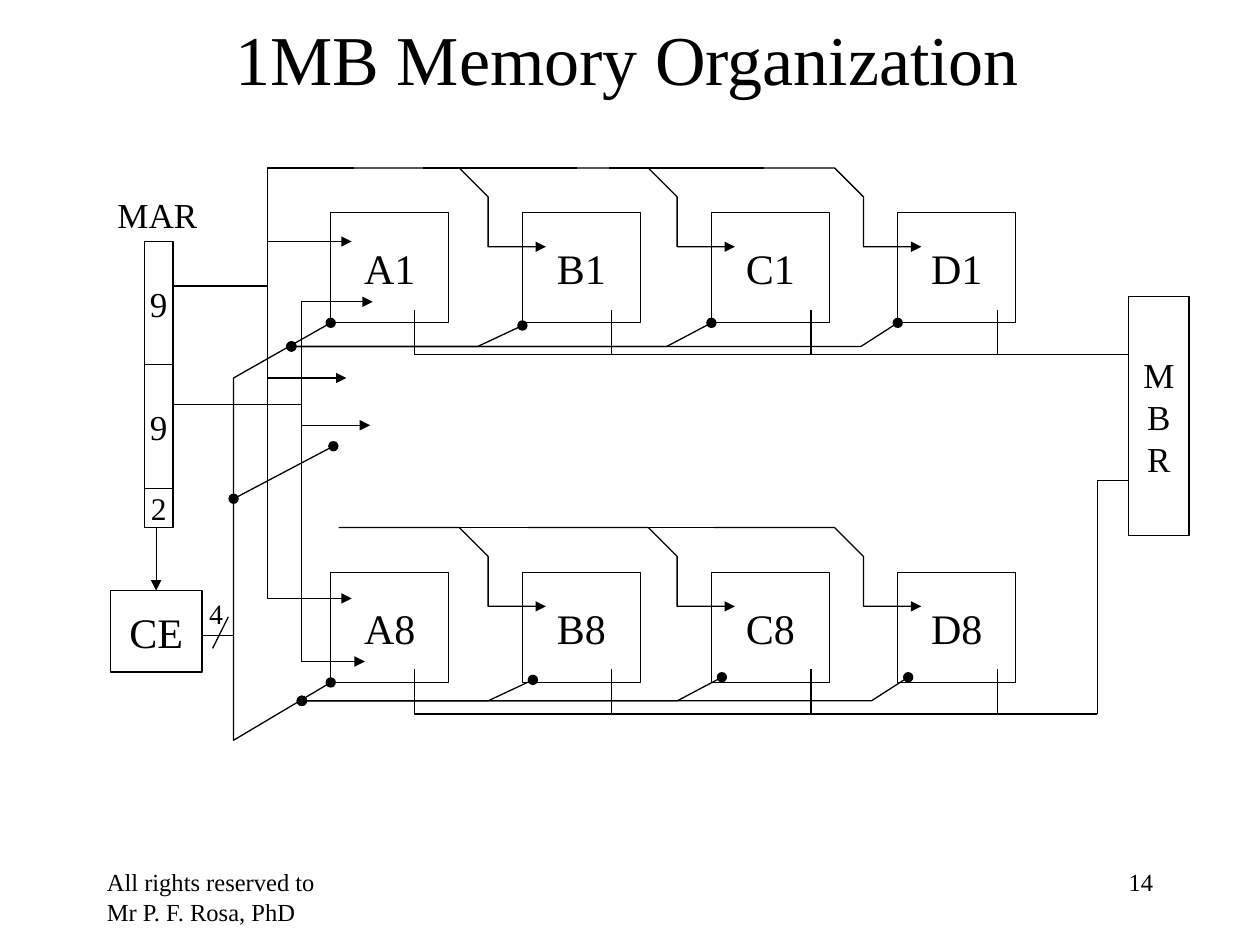
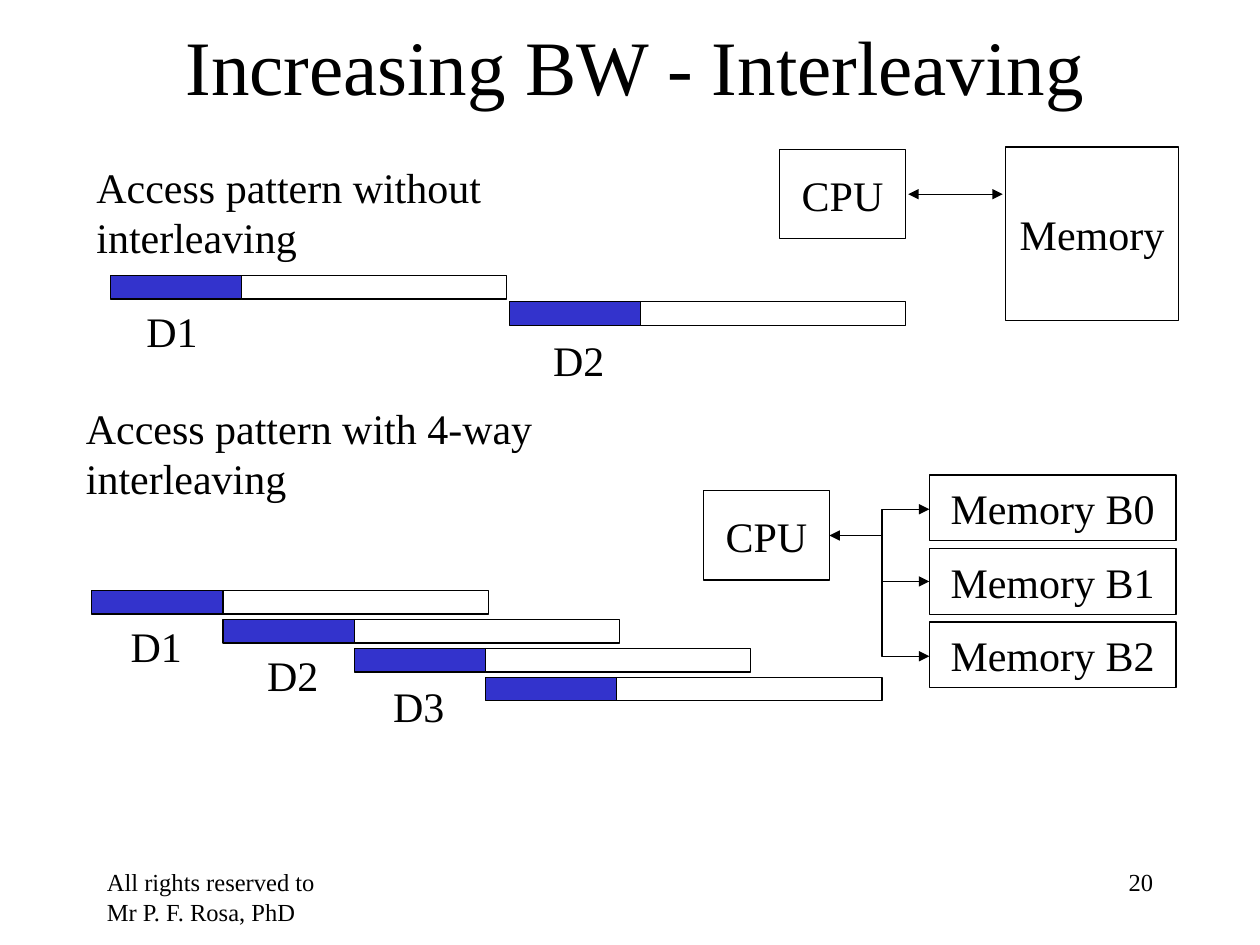
import pptx
import pptx.util
import pptx.dml.color
import pptx.enum.shapes
import pptx.enum.text
import pptx.oxml
import pptx.oxml.ns

BLACK = pptx.dml.color.RGBColor(0, 0, 0)
WHITE = pptx.dml.color.RGBColor(255, 255, 255)
BLUE = pptx.dml.color.RGBColor(0x33, 0x33, 0xCC)
FONT = "Times New Roman"
ALIGN = pptx.enum.text.PP_ALIGN
ANCHOR = pptx.enum.text.MSO_ANCHOR

# Grid: 480 columns by 360 rows of square cells
COLS, ROWS = 480, 360
CELL = pptx.util.Inches(10) // COLS


def grid(*nums):
    return [round(n * CELL) for n in nums]


# Text and shapes

def write(shape, text, size, align=ALIGN.LEFT, **form):
    frame = shape.text_frame
    base = {"word_wrap": False, "vertical_anchor": ANCHOR.TOP}
    for key, value in {**base, **form}.items():
        setattr(frame, key, value)
    frame.text = text
    look = {"name": FONT, "size": pptx.util.Pt(size)}
    for para in frame.paragraphs:
        para.alignment = align
        for key, value in look.items():
            setattr(para.font, key, value)
        para.font.color.rgb = BLACK


def label(slide, box, text, size, **form):
    write(slide.shapes.add_textbox(*grid(*box)), text, size, **form)


def ink(line):
    line.color.rgb = BLACK
    line.width = pptx.util.Pt(0.75)


def block(slide, box, text="", size=24, fill=None):
    kind = pptx.enum.shapes.MSO_SHAPE.RECTANGLE
    shape = slide.shapes.add_shape(kind, *grid(*box))
    shape.shadow.inherit = False
    if fill is None:
        shape.fill.background()
    else:
        shape.fill.solid()
        shape.fill.fore_color.rgb = fill
    ink(shape.line)
    if text:
        write(shape, text, size, ALIGN.CENTER, vertical_anchor=ANCHOR.MIDDLE)
    return shape


# Lines, with optional marks at their ends

def add_tag(parent, name, **attrs):
    tag = pptx.oxml.parse_xml(f"<a:{name} {pptx.oxml.ns.nsdecls('a')}/>")
    for key, value in attrs.items():
        tag.set(key, value)
    parent.append(tag)


def mark(shape, head, tail):
    line = shape._element.spPr.find(pptx.oxml.ns.qn("a:ln"))
    for name, kind in (("headEnd", head), ("tailEnd", tail)):
        if kind:
            add_tag(line, name, type=kind)


def wire(slide, start, end, head=None, tail=None):
    kind = pptx.enum.shapes.MSO_CONNECTOR.STRAIGHT
    line = slide.shapes.add_connector(kind, *grid(*start, *end))
    ink(line.line)
    mark(line, head, tail)
    add_tag(line._element.spPr, "effectLst")
    return line


def route(slide, points, head=None, tail=None):
    first, *rest = [grid(*point) for point in points]
    draft = slide.shapes.build_freeform(*first)
    draft.add_line_segments(rest, close=False)
    shape = draft.convert_to_shape()
    shape.shadow.inherit = False
    shape.fill.background()
    ink(shape.line)
    mark(shape, head, tail)


# What the slides share

def frame(deck, title, box, size, page):
    slide = deck.slides.add_slide(deck.slide_layouts[6])
    label(slide, box, title, size, align=ALIGN.CENTER,
          word_wrap=True, vertical_anchor=ANCHOR.MIDDLE)
    label(slide, (36, 328, 100, 24), "All rights reserved to Mr P. F. Rosa, PhD",
          14, word_wrap=True)
    label(slide, (344, 328, 100, 24), page, 14, align=ALIGN.RIGHT, word_wrap=True)
    return slide


# Memory organization

def bank(slide, left, top, row, shift):
    """One row of four chips with its address, data and enable lines."""
    chips = [left + step for step in (0, 73, 145, 216)]
    for name, x in zip("ABCD", chips):
        block(slide, (x, top + 17, 45, 42), f"{name}{row}")
    # Address bus
    for x in chips[1:]:
        steps = ((-70, 0), (-24, 0), (-13, 11), (-13, 30), (9, 30))
        route(slide, [(x + dx, top + dy) for dx, dy in steps], tail="triangle")
    for x in (left + 35, left + 106):
        wire(slide, (x + 59, top), (x, top))
    # Data bus
    high, low = top + 54, top + 71
    route(slide, [(left + 32, high), (left + 32, low), (left + 292, low)])
    for x in (left + 107, left + 183, left + 254):
        wire(slide, (x, high), (x, low))
    # Chip enable
    dx, dy = shift
    base = top + 68 + dy
    for x, bend, lift in zip(chips[1:], (17, 17, 14), (8, 9, 9)):
        route(slide, [(left - 15 + dx, base), (x - bend + dx, base),
                      (x + dx, base - lift)], "oval", "oval")


def mar(slide, left, top):
    """Address register and the chip-enable decoder below it."""
    label(slide, (left - 15, top - 20.5, 40, 21), "MAR", 20)
    y = top
    for text, high, size in (("9", 47, 20), ("9", 47, 20), ("2", 15, 18)):
        block(slide, (left, y, 11, high), text, size)
        y += high
    chip = block(slide, (left - 13, y + 24, 35, 31), "CE")
    down = wire(slide, (left + 4.5, y), (left + 4.5, y + 24), tail="triangle")
    down.end_connect(chip, 0)
    wire(slide, (left + 22, y + 41), (left + 34, y + 41))
    wire(slide, (left + 32, y + 34), (left + 26, y + 46))
    label(slide, (left + 20, y + 24, 15, 18), "4", 16)
    wire(slide, (left + 11, top + 17), (left + 47, top + 17))
    wire(slide, (left + 11, top + 62), (left + 60, top + 62))


def trunks(slide, left, top):
    """Upright select lines that feed every bank."""
    row, col, gate = left + 26, left + 13, left
    route(slide, [(row + 27, top + 51), (row, top + 51), (row, top + 188),
                  (row + 24, top + 188)], "triangle", "triangle")
    wire(slide, (row, top + 98), (row + 26, top + 98), tail="triangle")
    route(slide, [(col + 33, top), (col, top), (col, top + 164),
                  (col + 32, top + 164)], tail="triangle")
    for y, reach in ((28, 32), (80, 30)):
        wire(slide, (col, top + y), (col + reach, top + y), tail="triangle")
    route(slide, [(gate + 37, top + 59), (gate, top + 80), (gate, top + 218),
                  (gate + 37, top + 196)], "oval", "oval")
    wire(slide, (gate, top + 126), (gate + 38, top + 106), "oval", "oval")


def mbr(slide, left, top):
    """Data register with the lines that reach it."""
    route(slide, [(left - 12, top + 159), (left - 12, top + 70), (left + 9, top + 70)])
    wire(slide, (left - 13, top + 22), (left + 7, top + 22))
    block(slide, (left, top, 23, 91), "M\nB\nR", 20, WHITE)


def layout(deck):
    slide = frame(deck, "1MB Memory Organization", (35, 0, 408, 44), 40, "14")
    mar(slide, 55, 92)
    bank(slide, 126, 64, 1, (0, 0))
    bank(slide, 126, 201, 8, (4, -2))
    trunks(slide, 89, 64)
    mbr(slide, 430, 113)


# Interleaving

def bars(slide, left, top, count, step, tags):
    """Staircase of access bars; tags are offsets from the first bar."""
    for i in range(count):
        x, y = left + i * step[0], top + i * step[1]
        for start, wide, fill in ((0, 50, BLUE), (50, 101, None)):
            block(slide, (x + start, y, wide, 9), fill=fill)
    for i, (dx, dy) in enumerate(tags, 1):
        label(slide, (left + dx, top + dy, 29, 24), f"D{i}", 24)


def note(slide, box, text):
    label(slide, box, text, 24, word_wrap=True,
          margin_right=pptx.util.Inches(0.5))


def single(slide, left, top):
    """Processor with one memory."""
    block(slide, (left, top + 1, 48, 34), "CPU")
    block(slide, (left + 86, top, 66, 66), "Memory")
    wire(slide, (left + 49, top + 18), (left + 85, top + 18), "triangle", "triangle")


def split(slide, left, top):
    """Processor with a stack of memory banks."""
    cpu = block(slide, (left, top + 6, 48, 34), "CPU")
    edge, bus = left + 86, left + 68
    banks = [block(slide, (edge, top + 28 * i, 94, 25), f"Memory B{i}")
             for i in range(3)]
    route(slide, [(edge, top + 13), (bus, top + 13), (bus, top + 69),
                  (edge, top + 69)], "triangle", "triangle")
    line = wire(slide, (edge, top + 40.5), (bus, top + 40.5), head="triangle")
    line.begin_connect(banks[1], 1)
    line = wire(slide, (bus, top + 23), (left + 48, top + 23), tail="triangle")
    line.end_connect(cpu, 3)


def access(deck):
    slide = frame(deck, "Increasing BW - Interleaving", (38, 0, 408, 49), 44, "20")
    note(slide, (32, 59, 237, 24), "Access pattern without interleaving")
    bars(slide, 42, 105, 2, (152, 10), ((9, 9), (164, 20)))
    single(slide, 297, 56)
    note(slide, (28, 151, 260, 24), "Access pattern with 4-way interleaving")
    bars(slide, 35, 225, 4, (50, 11), ((10, 9), (62, 20), (110, 32)))
    split(slide, 268, 181)


def main():
    deck = pptx.Presentation()
    deck.slide_width, deck.slide_height = grid(COLS, ROWS)
    layout(deck)
    access(deck)
    deck.save("out.pptx")


if __name__ == "__main__":
    main()
